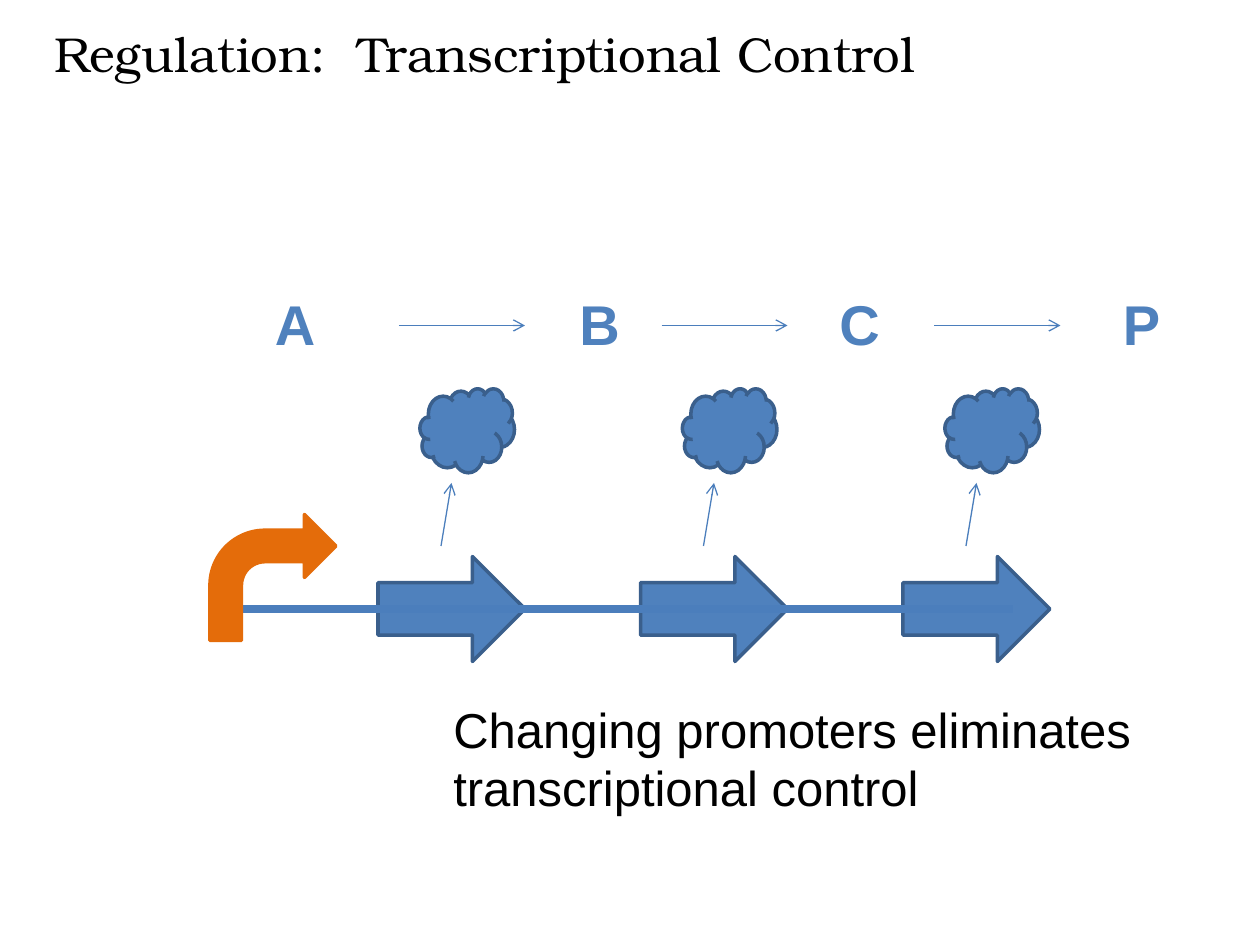
from lxml.etree import SubElement
from pptx import Presentation
from pptx.dml.color import RGBColor
from pptx.enum.shapes import MSO_CONNECTOR as Connector, MSO_SHAPE as Shape
from pptx.enum.text import MSO_ANCHOR as Anchor, MSO_AUTO_SIZE as AutoSize, PP_ALIGN as Align
from pptx.oxml.ns import qn
from pptx.util import Pt

BLACK = RGBColor(0x00, 0x00, 0x00)
BLUE = RGBColor(0x4F, 0x81, 0xBD)
OUTLINE_BLUE = RGBColor(0x3A, 0x5F, 0x8C)
LINE_BLUE = RGBColor(0x4B, 0x7E, 0xBC)
ORANGE = RGBColor(0xE4, 0x6C, 0x0A)

TITLE_FORMAT = {"name": "TeX Gyre Bonum", "size": Pt(28), "bold": False}
METABOLITE_FORMAT = {"name": "Arial", "size": Pt(32), "bold": True}
CAPTION_FORMAT = {"name": "Arial", "size": Pt(28), "bold": False}

GENE_COUNT = 3
GENE_STEP = 150
METABOLITES = {"A": 150, "B": 324, "C": 472.5, "P": 634.5}
REACTION_STARTS = (228, 378, 534)


def points(*lengths):
    return [Pt(length) for length in lengths]


def write_text(shape, text, font_format, color, wrap=True):
    frame = shape.text_frame
    frame_format = {"word_wrap": wrap, "auto_size": AutoSize.SHAPE_TO_FIT_TEXT,
                    "vertical_anchor": Anchor.TOP}
    for name, value in frame_format.items():
        setattr(frame, name, value)
    paragraph = frame.paragraphs[0]
    paragraph.alignment = Align.LEFT
    run = paragraph.add_run()
    run.text = text
    for name, value in font_format.items():
        setattr(run.font, name, value)
    run.font.color.rgb = color


def set_title(slide, text, box):
    title = slide.shapes.title
    for name, length in zip(("left", "top", "width", "height"), points(*box)):
        setattr(title, name, length)
    write_text(title, text, TITLE_FORMAT, BLACK)


def add_text(slide, text, box, font_format, color, wrap=True):
    write_text(slide.shapes.add_textbox(*points(*box)), text, font_format, color, wrap)


def add_filled_shape(slide, kind, box, fill, outline):
    shape = slide.shapes.add_shape(kind, *points(*box))
    shape.shadow.inherit = False
    shape.fill.solid()
    shape.fill.fore_color.rgb = fill
    shape.line.color.rgb = outline
    shape.line.width = Pt(2)


def add_line(slide, start, end, width, arrow=False):
    connector = slide.shapes.add_connector(Connector.STRAIGHT, *points(*start, *end))
    connector.line.color.rgb = LINE_BLUE
    connector.line.width = Pt(width)
    properties = connector.element.spPr
    if arrow:
        SubElement(properties.find(qn("a:ln")), qn("a:tailEnd"), type="arrow")
    SubElement(properties, qn("a:effectLst"))


def add_operon(slide):
    offsets = [GENE_STEP * index for index in range(GENE_COUNT)]
    for offset in offsets:
        add_filled_shape(slide, Shape.RIGHT_ARROW, (216 + offset, 318, 84, 60), BLUE, OUTLINE_BLUE)
    add_line(slide, (132, 348), (579, 348), 5)
    for offset in offsets:
        add_filled_shape(slide, Shape.CLOUD, (240 + offset, 222, 54, 48), BLUE, OUTLINE_BLUE)
        add_line(slide, (252 + offset, 312), (258 + offset, 276), 0.75, arrow=True)
    add_filled_shape(slide, Shape.BENT_ARROW, (120, 294, 72, 72), ORANGE, ORANGE)


def add_pathway(slide):
    for letter, left in METABOLITES.items():
        add_text(slide, letter, (left, 162, 38, 46), METABOLITE_FORMAT, BLUE, wrap=False)
    for left in REACTION_STARTS:
        add_line(slide, (left, 186), (left + 72, 186), 0.75, arrow=True)


def main():
    presentation = Presentation()
    presentation.slide_width, presentation.slide_height = points(720, 540)
    slide = presentation.slides.add_slide(presentation.slide_layouts[5])
    set_title(slide, "Regulation:  Transcriptional Control", (24, 10, 678, 41))
    add_operon(slide)
    add_pathway(slide)
    add_text(slide, "Changing promoters eliminates transcriptional control",
             (252, 396, 454, 75), CAPTION_FORMAT, BLACK)
    presentation.save("out.pptx")


if __name__ == "__main__":
    main()
